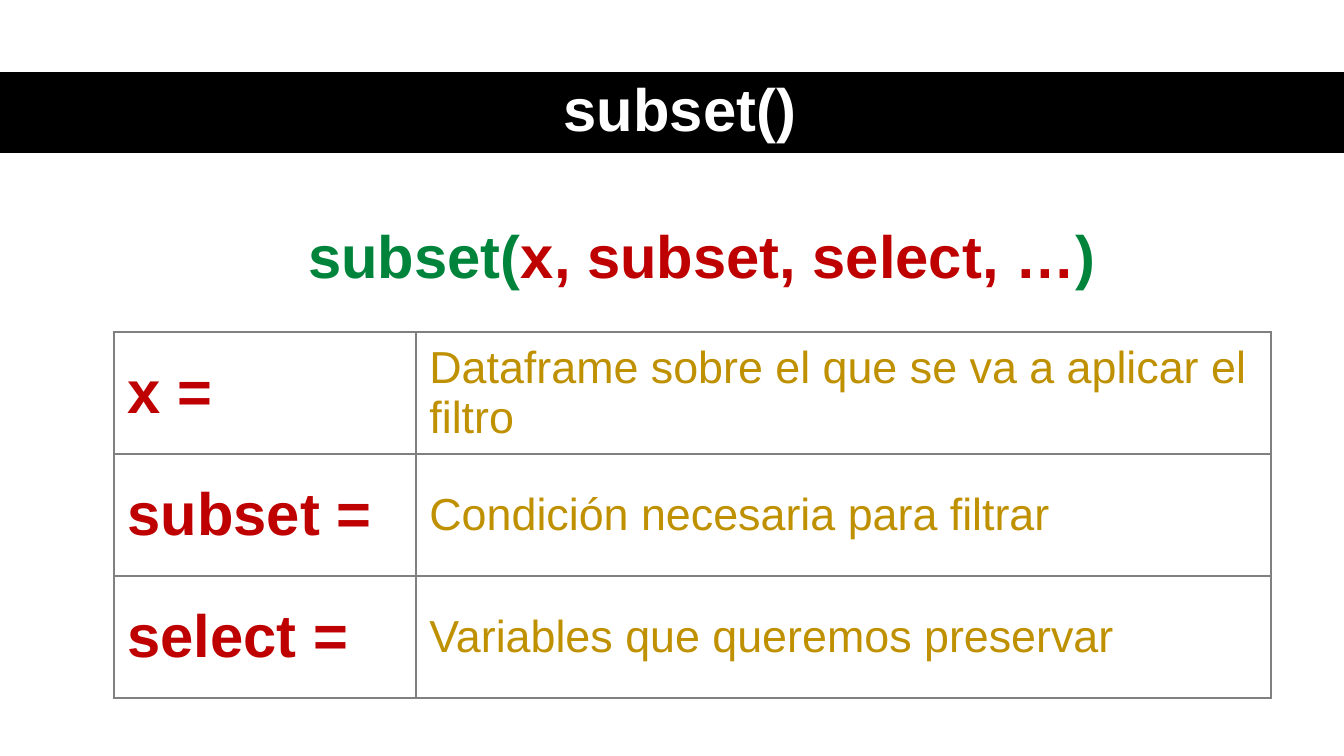
import pptx
import pptx.dml.color
import pptx.enum.shapes
import pptx.enum.text
import pptx.oxml
import pptx.oxml.ns
import pptx.util

EMU_PER_PX = 914400 / 134.4
FONT = "Arial"
BLACK, WHITE, GREEN, RED, GOLD, GRAY = (
    "000000", "FFFFFF", "00843C", "BF0000", "BF9000", "808080")

SLIDE_SIZE = (1344, 756)
BANNER = (0, 72, 1344, 81)
TITLE_AREA = (62, 71, 1236, 82)
USAGE_AREA = (77, 212, 1250, 86)
TABLE_ORIGIN = (114, 332)
COLUMN_WIDTHS = (302, 855)
ROW_HEIGHT = 122

TITLE = [("subset()", WHITE)]
USAGE = [("subset(", GREEN), ("x, subset, select, …", RED), (")", GREEN)]
ARGUMENTS = [
    ("x =", "Dataframe sobre el que se va a aplicar el filtro"),
    ("subset =", "Condición necesaria para filtrar"),
    ("select =", "Variables que queremos preservar"),
]
COLUMN_STYLES = [(32, RED, True), (24, GOLD, False)]


def px(length):
    return pptx.util.Emu(round(length * EMU_PER_PX))


def color(code):
    return pptx.dml.color.RGBColor.from_string(code)


def add_span(para, text, size, code, bold):
    span = para.add_run()
    span.text = text
    span.font.name = FONT
    span.font.size = pptx.util.Pt(size)
    span.font.bold = bold
    span.font.color.rgb = color(code)


def add_heading(page, area, spans, anchor, line_spacing):
    frame = page.shapes.add_textbox(*map(px, area)).text_frame
    frame.word_wrap = True
    frame.vertical_anchor = anchor
    para = frame.paragraphs[0]
    para.alignment = pptx.enum.text.PP_ALIGN.CENTER
    para.line_spacing = line_spacing
    for text, code in spans:
        add_span(para, text, 32, code, True)


def add_borders(cell):
    properties = cell._tc.get_or_add_tcPr()
    namespace = pptx.oxml.ns.nsdecls("a")
    for position, side in enumerate(("lnL", "lnR", "lnT", "lnB")):
        border = pptx.oxml.parse_xml(
            f'<a:{side} {namespace} w="12700"><a:solidFill>'
            f'<a:srgbClr val="{GRAY}"/></a:solidFill></a:{side}>')
        properties.insert(position, border)


def add_arguments(page):
    size = (sum(COLUMN_WIDTHS), ROW_HEIGHT * len(ARGUMENTS))
    table = page.shapes.add_table(
        len(ARGUMENTS), len(COLUMN_WIDTHS), *map(px, TABLE_ORIGIN + size)).table
    table.first_row = False
    table.horz_banding = False
    for column, width in zip(table.columns, COLUMN_WIDTHS):
        column.width = px(width)
    for row, texts in zip(table.rows, ARGUMENTS):
        row.height = px(ROW_HEIGHT)
        for cell, text, style in zip(row.cells, texts, COLUMN_STYLES):
            cell.fill.background()
            cell.vertical_anchor = pptx.enum.text.MSO_ANCHOR.MIDDLE
            add_span(cell.text_frame.paragraphs[0], text, *style)
            add_borders(cell)


def main():
    deck = pptx.Presentation()
    deck.slide_width, deck.slide_height = map(px, SLIDE_SIZE)
    page = deck.slides.add_slide(deck.slide_layouts[6])

    banner = page.shapes.add_shape(
        pptx.enum.shapes.MSO_SHAPE.RECTANGLE, *map(px, BANNER))
    banner.shadow.inherit = False
    banner.fill.solid()
    banner.fill.fore_color.rgb = color(BLACK)
    banner.line.fill.background()

    anchors = pptx.enum.text.MSO_ANCHOR
    add_heading(page, TITLE_AREA, TITLE, anchors.MIDDLE, 0.9)
    add_heading(page, USAGE_AREA, USAGE, anchors.TOP, 1.0)
    add_arguments(page)
    deck.save("out.pptx")


if __name__ == "__main__":
    main()
